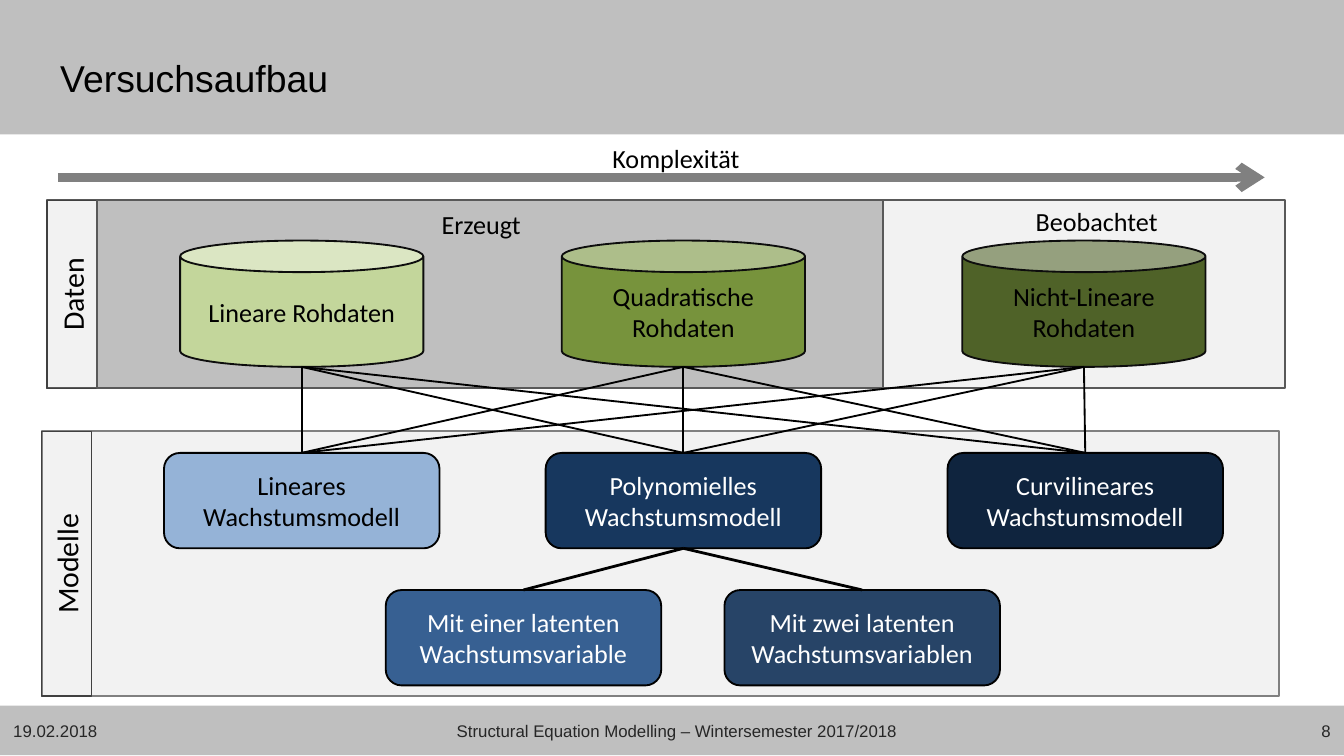
from itertools import product
from pptx import Presentation
from pptx.dml.color import RGBColor
from pptx.enum.shapes import MSO_CONNECTOR, MSO_SHAPE
from pptx.enum.text import MSO_ANCHOR, PP_ALIGN
from pptx.oxml.ns import qn
from pptx.util import Inches, Pt
from lxml.etree import SubElement

BODY = {"name": "Calibri", "size": Pt(14)}
SIDE = {"name": "Calibri", "size": Pt(16)}
HEAD = {"name": "Arial", "size": Pt(20)}
FOOT = {"name": "Arial", "size": Pt(9)}
CAN_W, CAN_H = 1.81, 0.94
BOX_W, BOX_H = 2.05, 0.71


def paint(target, color):
    target.rgb = RGBColor.from_string(color)


def write(shape, text, font, color="000000", align=PP_ALIGN.CENTER,
          anchor=MSO_ANCHOR.MIDDLE, wrap=True):
    frame = shape.text_frame
    for key, value in {"word_wrap": wrap, "vertical_anchor": anchor}.items():
        setattr(frame, key, value)
    para = frame.paragraphs[0]
    para.alignment = align
    run = para.add_run()
    run.text = text
    for key, value in font.items():
        setattr(run.font, key, value)
    paint(run.font.color, color)


def label(slide, box, text, font, **style):
    shape = slide.shapes.add_textbox(*map(Inches, box))
    write(shape, text, font, **style)


def block(slide, kind, box, fill=None, line=None, width=1):
    shape = slide.shapes.add_shape(kind, *map(Inches, box))
    shape.shadow.inherit = False
    if fill:
        shape.fill.solid()
        paint(shape.fill.fore_color, fill)
    else:
        shape.fill.background()
    if line:
        paint(shape.line.color, line)
        shape.line.width = Pt(width)
    else:
        shape.line.fill.background()
    return shape


def link(slide, start, end, color="000000", width=1, arrow=False):
    line = slide.shapes.add_connector(
        MSO_CONNECTOR.STRAIGHT, *map(Inches, (*start, *end)))
    paint(line.line.color, color)
    line.line.width = Pt(width)
    props = line._element.spPr
    if arrow:
        SubElement(props.find(qn("a:ln")), qn("a:tailEnd"), type="arrow")
    SubElement(props, qn("a:effectLst"))


def header(slide, box):
    x, y, w, h = box
    block(slide, MSO_SHAPE.RECTANGLE, box, "BFBFBF")
    label(slide, (x + 0.35, y + 0.23, 8.43, 0.7), "Versuchsaufbau", HEAD,
          align=PP_ALIGN.LEFT)


def footer(slide, box):
    x, y, w, h = box
    block(slide, MSO_SHAPE.RECTANGLE, box, "BFBFBF")
    parts = [
        (0, 0.91, "19.02.2018", PP_ALIGN.LEFT),
        (1.06, 7.95, "Structural Equation Modelling – Wintersemester 2017/2018",
         PP_ALIGN.CENTER),
        (w - 0.91, 0.91, "8", PP_ALIGN.RIGHT),
    ]
    for left, wide, text, align in parts:
        label(slide, (x + left, y + 0.07, wide, 0.24), text, FOOT,
              color="262626", align=align)


def scale(slide, box):
    x, y, w, h = box
    link(slide, (x, y + h), (x + w, y + h), "808080", 4.5, True)
    label(slide, (x + 4.02, y, 1.16, 0.34), "Komplexität", BODY,
          anchor=MSO_ANCHOR.TOP, wrap=False)


def panel(slide, box, title, line):
    x, y, w, h = box
    block(slide, MSO_SHAPE.RECTANGLE, box, "F2F2F2", line)
    deep = 0.37
    side = (x + deep / 2 - h / 2, y + h / 2 - deep / 2, h, deep)
    shape = block(slide, MSO_SHAPE.RECTANGLE, side, None, "404040", 0.75)
    shape.rotation = 270
    write(shape, title, SIDE)


def data(slide, box):
    x, y, w, h = box
    panel(slide, box, "Daten", "595959")
    block(slide, MSO_SHAPE.RECTANGLE, (x + 0.37, y, 5.85, h), "BFBFBF", "595959")
    for left, top, wide, text in [(2.83, 0.01, 0.8, "Erzeugt"),
                                  (7.25, -0.01, 1.12, "Beobachtet")]:
        label(slide, (x + left, y + top, wide, 0.34), text, BODY,
              anchor=MSO_ANCHOR.TOP, wrap=False)
    feet = []
    for left, text, fill in [(0.99, "Lineare Rohdaten", "C3D69B"),
                             (3.83, "Quadratische Rohdaten", "77933C"),
                             (6.81, "Nicht-Lineare Rohdaten", "4F6228")]:
        place = (x + left, y + 0.3, CAN_W, CAN_H)
        write(block(slide, MSO_SHAPE.CAN, place, fill, "0D0D0D"), text, BODY)
        feet.append((place[0] + CAN_W / 2, place[1] + CAN_H))
    return feet


def models(slide, box):
    x, y, w, h = box
    panel(slide, box, "Modelle", "808080")
    tops = []
    for left, top, text, fill, color in [
        (0.91, 0.16, "Lineares Wachstumsmodell", "95B3D7", "000000"),
        (3.75, 0.16, "Polynomielles Wachstumsmodell", "17375E", "FFFFFF"),
        (6.74, 0.16, "Curvilineares Wachstumsmodell", "0F243E", "FFFFFF"),
        (2.56, 1.18, "Mit einer latenten Wachstumsvariable", "376092", "FFFFFF"),
        (5.08, 1.18, "Mit zwei latenten Wachstumsvariablen", "274467", "FFFFFF"),
    ]:
        place = (x + left, y + top, BOX_W, BOX_H)
        shape = block(slide, MSO_SHAPE.FLOWCHART_ALTERNATE_PROCESS, place,
                      fill, "000000")
        write(shape, text, BODY, color)
        tops.append((place[0] + BOX_W / 2, place[1]))
    mid, base = tops[1]
    for end in tops[3:]:
        link(slide, (mid, base + BOX_H), end, width=1.5)
    return tops[:3]


def main():
    deck = Presentation()
    size = {"slide_width": Inches(10), "slide_height": Pt(405)}
    for key, value in size.items():
        setattr(deck, key, value)
    slide = deck.slides.add_slide(deck.slide_layouts[6])
    header(slide, (0, 0, 10, 1))
    footer(slide, (0, 5.25, 10, 0.37))
    feet = data(slide, (0.35, 1.49, 9.21, 1.4))
    tops = models(slide, (0.31, 3.21, 9.21, 1.97))
    for start, end in product(feet, tops):
        link(slide, start, end)
    scale(slide, (0.43, 1.01, 8.98, 0.31))
    deck.save("out.pptx")


if __name__ == "__main__":
    main()
